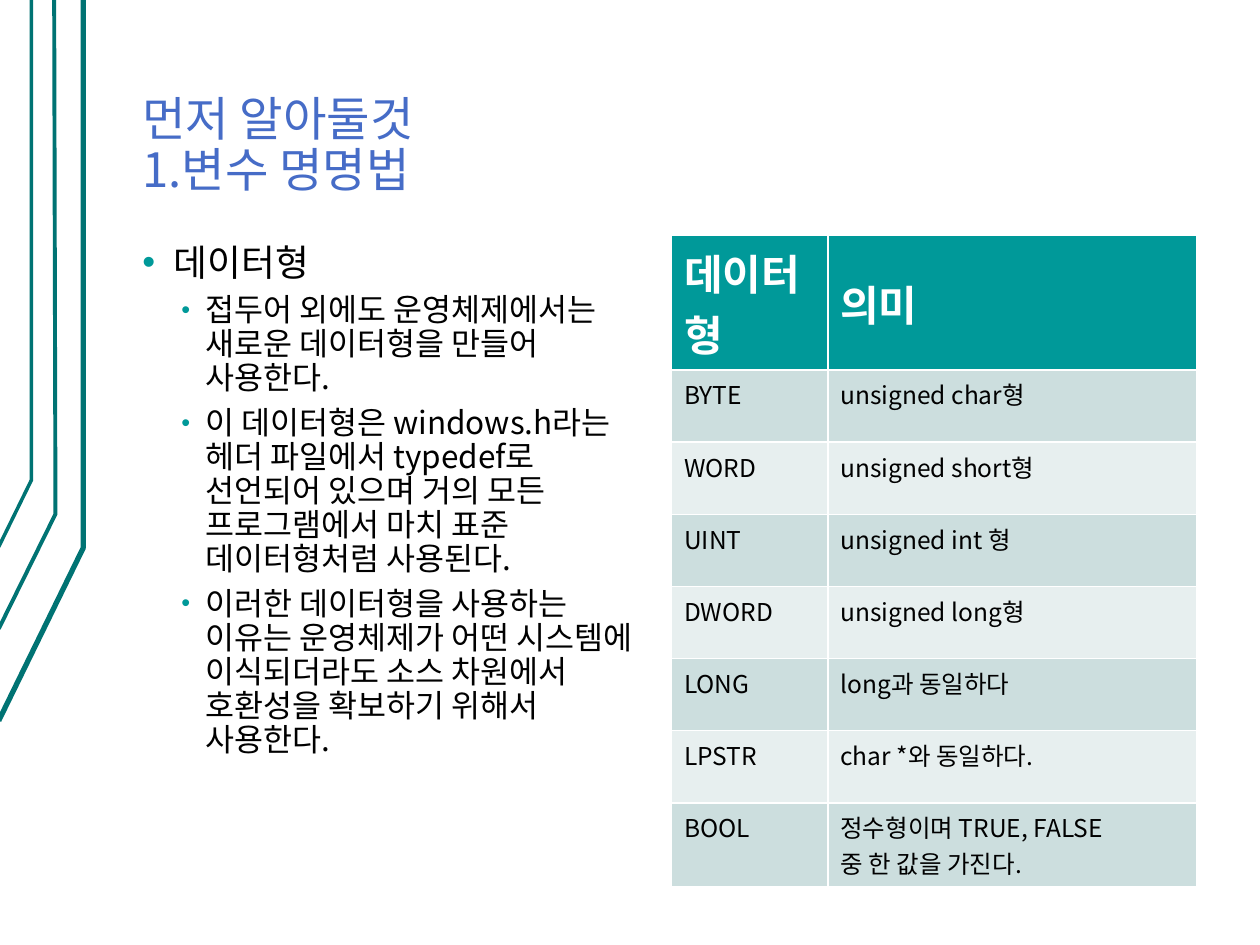
from lxml import etree
from pptx import Presentation
from pptx.dml.color import RGBColor
from pptx.enum.text import MSO_ANCHOR, MSO_AUTO_SIZE, PP_ALIGN
from pptx.oxml.ns import qn
from pptx.util import Inches, Pt

LEFT = PP_ALIGN.LEFT
TOP, MIDDLE, BOTTOM = MSO_ANCHOR.TOP, MSO_ANCHOR.MIDDLE, MSO_ANCHOR.BOTTOM
NO_FIT = MSO_AUTO_SIZE.NONE
FONT = "Noto Sans CJK KR"
TEAL, DARK_TEAL, BLUE = "009999", "007373", "466CC7"
BLACK, WHITE = "000000", "FFFFFF"
BANDS = ("CCDEDE", "E7EFEF")

TITLE = "먼저 알아둘것\v1.변수 명명법"
BULLETS = [
    (0, "데이터형"),
    (1, "접두어 외에도 운영체제에서는 새로운 데이터형을 만들어 사용한다."),
    (1, "이 데이터형은 windows.h라는 헤더 파일에서 typedef로 선언되어 있으며 "
        "거의 모든 프로그램에서 마치 표준 데이터형처럼 사용된다."),
    (1, "이러한 데이터형을 사용하는 이유는 운영체제가 어떤 시스템에 이식되더라도 "
        "소스 차원에서 호환성을 확보하기 위해서 사용한다."),
]
LEVELS = [
    {"size": 21, "margin": 0.25, "hanging": 0.25, "before": 0, "bullet": 100},
    {"size": 18, "margin": 0.5, "hanging": 0.19, "before": 6, "bullet": 80},
]
DATA_TYPES = [
    ("데이터형", "의미"),
    ("BYTE", "unsigned char형"),
    ("WORD", "unsigned short형"),
    ("UINT", "unsigned int 형"),
    ("DWORD", "unsigned long형"),
    ("LONG", "long과 동일하다"),
    ("LPSTR", "char *와 동일하다."),
    ("BOOL", "정수형이며 TRUE, FALSE\n중 한 값을 가진다."),
]
STRIPES = [
    (3, [(-0.01, 5.72), (0.66, 4.35), (0.66, 0)]),
    (2.25, [(-0.01, 4.99), (0.44, 4.08), (0.43, 0)]),
    (2, [(-0.01, 4.34), (0.25, 3.81), (0.25, 0)]),
]


def color(value):
    return RGBColor.from_string(value)


class SlideBuilder:
    """Holds the slide and its text style and adds each kind of element."""

    def __init__(self, slide):
        self.slide = slide
        self.font = FONT

    def style(self, paragraph, size, fill, bold=False):
        for run in paragraph.runs:
            values = {"name": self.font, "size": Pt(size), "bold": bold}
            for name, value in values.items():
                setattr(run.font, name, value)
            run.font.color.rgb = color(fill)
            properties = run._r.get_or_add_rPr()
            etree.SubElement(properties, qn("a:ea"), typeface=self.font)

    def stripe(self, width, points):
        start, *others = [(Inches(x), Inches(y)) for x, y in points]
        builder = self.slide.shapes.build_freeform(*start)
        builder.add_line_segments(others, close=False)
        shape = builder.convert_to_shape()
        shape.shadow.inherit = False
        shape.fill.background()
        shape.line.color.rgb = color(DARK_TEAL)
        shape.line.width = Pt(width)

    def place(self, placeholder, box, anchor):
        for name, value in zip(("left", "top", "width", "height"), box):
            setattr(placeholder, name, Inches(value))
        frame = placeholder.text_frame
        values = {
            "margin_left": Inches(0.13), "margin_right": Inches(0.13),
            "margin_top": Inches(0.07), "margin_bottom": Inches(0.07),
            "vertical_anchor": anchor, "auto_size": NO_FIT, "word_wrap": True,
        }
        for name, value in values.items():
            setattr(frame, name, value)
        return frame

    def title(self, text, box):
        frame = self.place(self.slide.shapes.title, box, BOTTOM)
        frame.text = text
        paragraph = frame.paragraphs[0]
        paragraph.alignment = LEFT
        paragraph.line_spacing = 0.9
        self.style(paragraph, 27, BLUE)

    def bullets(self, items, box):
        frame = self.place(self.slide.placeholders[1], box, TOP)
        frame.text = "\n".join(text for _, text in items)
        for paragraph, (level, _) in zip(frame.paragraphs, items):
            self.bullet(paragraph, level)

    def bullet(self, paragraph, level):
        look = LEVELS[level]
        paragraph.level = level
        properties = paragraph._p.get_or_add_pPr()
        properties.set("marL", str(Inches(look["margin"])))
        properties.set("indent", str(-Inches(look["hanging"])))
        bullet_color = etree.SubElement(properties, qn("a:buClr"))
        etree.SubElement(bullet_color, qn("a:srgbClr"), val=TEAL)
        etree.SubElement(properties, qn("a:buSzPct"), val=str(look["bullet"] * 1000))
        etree.SubElement(properties, qn("a:buFont"), typeface="Arial")
        etree.SubElement(properties, qn("a:buChar"), char="•")
        paragraph.line_spacing = 0.9
        paragraph.space_before = Pt(look["before"])
        self.style(paragraph, look["size"], BLACK)

    def table(self, rows, box, widths):
        lengths = [Inches(value) for value in box]
        table = self.slide.shapes.add_table(len(rows), len(widths), *lengths).table
        for column, width in zip(table.columns, widths):
            column.width = Inches(width)
        for index, texts in enumerate(rows):
            for cell, text in zip(table.rows[index].cells, texts):
                self.cell(cell, text, index)

    def cell(self, cell, text, index):
        header = index == 0
        cell.text = text
        cell.vertical_anchor = MIDDLE if header else TOP
        cell.fill.solid()
        cell.fill.fore_color.rgb = color(TEAL if header else BANDS[(index - 1) % 2])
        for paragraph in cell.text_frame.paragraphs:
            if header:
                self.style(paragraph, 24, WHITE, bold=True)
            else:
                self.style(paragraph, 14, BLACK)


def main():
    presentation = Presentation()
    presentation.slide_width = Inches(10)
    presentation.slide_height = Inches(7.5)
    slide = presentation.slides.add_slide(presentation.slide_layouts[1])
    builder = SlideBuilder(slide)
    for width, points in STRIPES:
        builder.stripe(width, points)
    builder.title(TITLE, (1, 0.3, 8.5, 1.34))
    builder.bullets(BULLETS, (1, 1.87, 4.17, 4.88))
    builder.table(DATA_TYPES, (5.33, 1.87, 4.17, 4.58), (1.24, 2.93))
    presentation.save("out.pptx")


if __name__ == "__main__":
    main()
